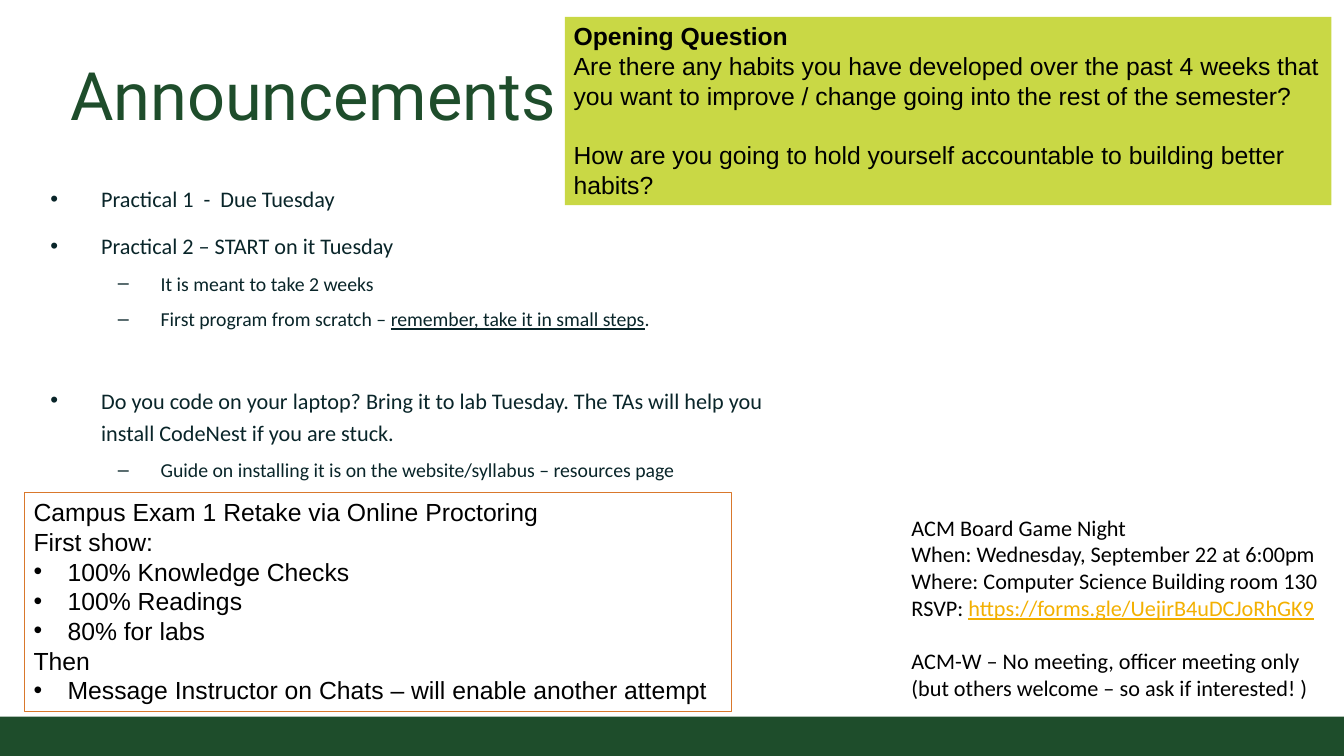
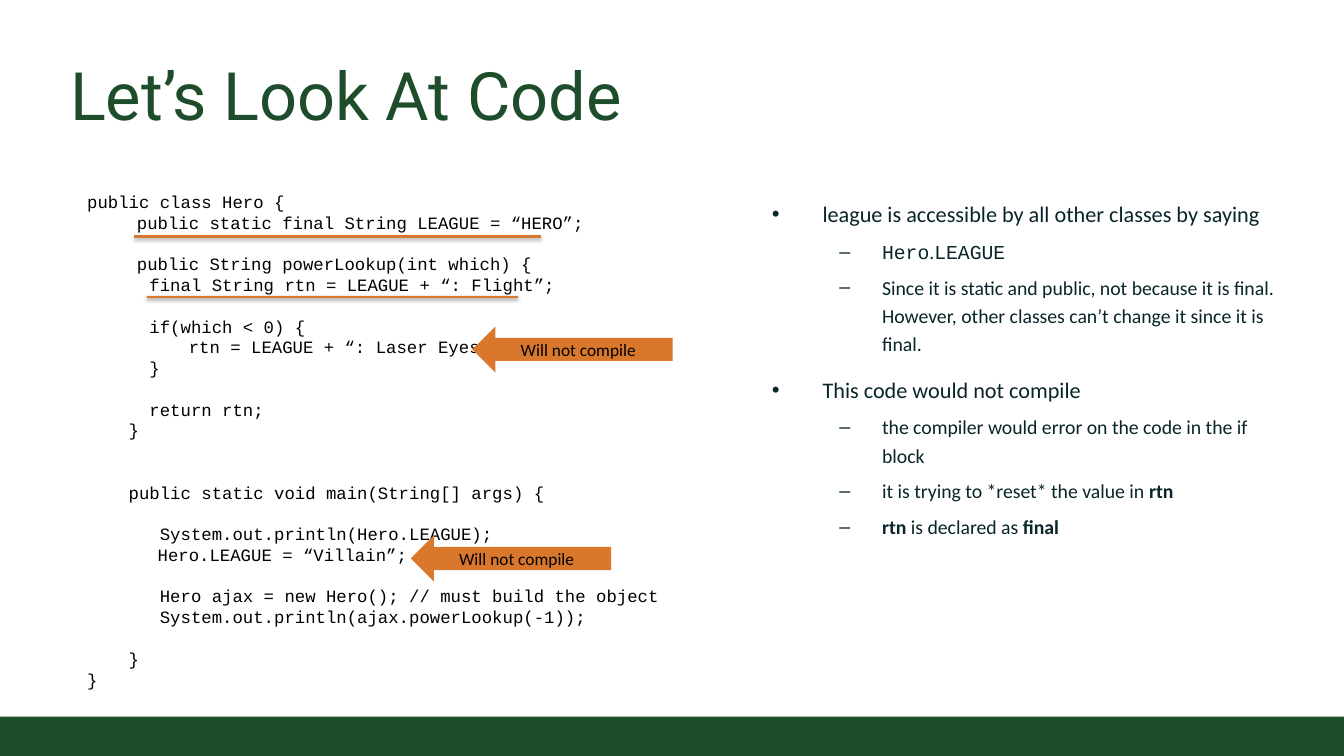
from lxml.etree import SubElement as Sub
from pptx import Presentation
from pptx.dml.color import RGBColor as Rgb
from pptx.enum.shapes import MSO_CONNECTOR as Link, MSO_SHAPE as Form
from pptx.enum.text import MSO_ANCHOR as Anchor, PP_ALIGN as Align
from pptx.oxml.ns import qn
from pptx.util import Cm, Pt

HUES = {"green": "1E4D2B", "lime": "C9D845", "orange": "D9782C",
        "gold": "F3B000", "ink": "092529", "black": "000000"}
WIDE, HIGH = 38.38, 21.59
LEAD = 1.2
HEAD = {"name": "Roboto", "size": 54, "color": "green"}
NOTE = {"name": "Arial", "size": 20, "color": "black"}
INFO = {"name": "Calibri", "size": 18, "color": "black"}
TAG = {"name": "Calibri", "size": 14, "color": "black"}
MONO = {"name": "Courier New", "size": 14, "color": "black"}
BODY = {"name": "Calibri", "color": "ink"}
BOLD = {"bold": True}
LINE = {"underline": True}
CODE = {"name": "Courier New"}
# per outline level: size, bullet, left indent, hang, space before
RANKS = [(18, "•", 1.45, 1.45, 6), (16, "–", 3.15, 1.22, 0)]


def hue(key):
    return Rgb.from_string(HUES[key])


class Deck:
    """Holds the file, the current slide and the shared style."""

    def __init__(self):
        self.file = Presentation()
        self.file.slide_width, self.file.slide_height = Cm(WIDE), Cm(HIGH)

    def start(self, title):
        self.page = self.file.slides.add_slide(self.file.slide_layouts[6])
        self.shape(Form.RECTANGLE, (0, 20.47, WIDE, 1.12), "green")
        frame = self.text((1.75, 1.24, 34.9, 2.82), pad=0.25)
        frame.vertical_anchor = Anchor.BOTTOM
        self.para(frame, [title], HEAD)

    def shape(self, form, box, fill=None, edge=None):
        item = self.page.shapes.add_shape(form, *map(Cm, box))
        item.shadow.inherit = False
        if fill:
            item.fill.solid()
            item.fill.fore_color.rgb = hue(fill)
        else:
            item.fill.background()
        if edge:
            item.line.color.rgb = hue(edge)
            item.line.width = Pt(0.75)
        else:
            item.line.fill.background()
        frame = item.text_frame
        frame.word_wrap = True
        frame.vertical_anchor = Anchor.TOP
        return frame

    def text(self, box, pad=0.13):
        frame = self.page.shapes.add_textbox(*map(Cm, box)).text_frame
        frame.word_wrap = True
        frame.margin_top = frame.margin_bottom = Cm(pad)
        return frame

    def para(self, frame, parts, look, mark=None, left=0, hang=0, tab=0, **form):
        """Adds a paragraph; each part is a string or a (string, format) pair."""
        first = frame.paragraphs[0]
        para = frame.add_paragraph() if first.runs else first
        props = para._p.get_or_add_pPr()
        if mark:
            props.set("marL", str(Cm(left)))
            props.set("indent", str(-Cm(hang)))
            Sub(props, qn("a:buFont"), typeface="Arial")
            Sub(props, qn("a:buChar"), char=mark)
        if tab:
            stops = Sub(props, qn("a:tabLst"))
            Sub(stops, qn("a:tab"), pos=str(Cm(tab)), algn="l")
        for key, val in ({"alignment": Align.LEFT} | form).items():
            setattr(para, key, val)
        for part in parts:
            words, extra = (part, {}) if isinstance(part, str) else part
            run = para.add_run()
            run.text = words
            for key, val in (look | extra).items():
                if key == "color":
                    run.font.color.rgb = hue(val)
                else:
                    setattr(run.font, key, Pt(val) if key == "size" else val)

    def lines(self, frame, rows, look, tab=0):
        """Sets rows at an even pitch; an empty row becomes space before the next."""
        pitch, gap = look["size"] * LEAD, 0
        for row in rows:
            if not row:
                gap += pitch
                continue
            parts = row if isinstance(row, list) else [row]
            form = {"tab": tab}
            if parts[0].startswith("•"):
                parts = [parts[0][1:]]
                form = {"mark": "•", "left": 0.97, "hang": 0.97}
            self.para(frame, parts, look, line_spacing=Pt(pitch),
                      space_before=Pt(gap), **form)
            gap = 0

    def outline(self, box, rows):
        """Draws bullets from (level, parts, extra space before) rows."""
        frame = self.text(box, 0.25)
        for spot, (rank, parts, more) in enumerate(rows):
            size, mark, left, hang, gap = RANKS[rank]
            self.para(frame, parts, BODY | {"size": size}, mark, left, hang,
                      level=rank, line_spacing=LEAD, space_after=Pt(6),
                      space_before=Pt(gap + more if spot else 0))

    def arrow(self, left, top, words):
        frame = self.shape(Form.LEFT_ARROW, (left, top, 5.72, 1.32), "orange")
        sides = {"margin_left": 0.76, "margin_right": 0.76,
                 "margin_top": 0.51, "margin_bottom": 0.51}
        for key, val in sides.items():
            setattr(frame, key, Cm(val))
        frame.vertical_anchor = Anchor.MIDDLE
        self.para(frame, [words], TAG, alignment=Align.CENTER)

    def rule(self, left, right, top):
        """Draws a level line with a soft shadow below it."""
        line = self.page.shapes.add_connector(
            Link.STRAIGHT, Cm(left), Cm(top), Cm(right), Cm(top))
        line.line.color.rgb = hue("orange")
        line.line.width = Pt(2)
        group = Sub(line._element.spPr, qn("a:effectLst"))
        shade = Sub(group, qn("a:outerShdw"), blurRad=str(Pt(3.1)),
                    dist=str(Pt(1.6)), dir="5400000", rotWithShape="0")
        tone = Sub(shade, qn("a:srgbClr"), val=HUES["black"])
        Sub(tone, qn("a:alpha"), val="38000")


HERO = """public class Hero {
\tpublic static final String LEAGUE = “HERO”;

\tpublic String powerLookup(int which) {
      final String rtn = LEAGUE + “: Flight”;

      if(which < 0) {
\t     rtn = LEAGUE + “: Laser Eyes”;
      }

      return rtn;
    }


    public static void main(String[] args) {

       System.out.println(Hero.LEAGUE);
\t  Hero.LEAGUE = “Villain”;

       Hero ajax = new Hero(); // must build the object
       System.out.println(ajax.powerLookup(-1));

    }
}"""


def news(deck):
    deck.start("Announcements")
    club = deck.text((25.78, 14.55, 12.6, 5.64))
    deck.lines(club, [
        "ACM Board Game Night",
        "When: Wednesday, September 22 at 6:00pm",
        "Where: Computer Science Building room 130",
        ["RSVP: ", ("https://forms.gle/UejirB4uDCJoRhGK9", LINE | {"color": "gold"})],
        "",
        "ACM-W – No meeting, officer meeting only (but others welcome – so ask if interested! )",
    ], INFO)
    ask = deck.shape(Form.RECTANGLE, (16.13, 0.48, 21.89, 5.38), "lime")
    deck.lines(ask, ["Opening Question"], NOTE | BOLD)
    deck.lines(ask, [
        "Are there any habits you have developed over the past 4 weeks that you want "
        "to improve / change going into the rest of the semester?",
        "",
        "How are you going to hold yourself accountable to building better habits?",
    ], NOTE)
    deck.outline((1.19, 4.9, 20.93, 9.12), [
        (0, ["Practical 1  -  Due Tuesday"], 0),
        (0, ["Practical 2 – START on it Tuesday"], 0),
        (1, ["It is meant to take 2 weeks"], 0),
        (1, ["First program from scratch – ",
             ("remember, take it in small steps", LINE), "."], 0),
        (0, ["Do you code on your laptop? Bring it to lab Tuesday. The TAs will "
             "help you install CodeNest if you are stuck."], 29),
        (1, ["Guide on installing it is on the website/syllabus – resources page"], 0),
    ])
    exam = deck.shape(Form.RECTANGLE, (0.71, 14.07, 20.19, 6.25), edge="orange")
    deck.lines(exam, [
        "Campus Exam 1 Retake via Online Proctoring",
        "First show:",
        "•100% Knowledge Checks",
        "•100% Readings",
        "•80% for labs",
        "Then",
        "•Message Instructor on Chats – will enable another attempt",
    ], NOTE)


def code(deck):
    deck.start("Let’s Look At Code")
    deck.outline((21.79, 5.33, 14.86, 11.25), [
        (0, ["league is accessible by all other classes by saying"], 0),
        (1, [("Hero", CODE), ".", ("LEAGUE", CODE)], 0),
        (1, ["Since it is static and public, not because it is final. However, "
             "other classes can’t change it since it is final."], 0),
        (0, ["This code would not compile"], 0),
        (1, ["the compiler would error on the code in the if block"], 0),
        (1, ["it is trying to *reset* the value in ", ("rtn", BOLD)], 0),
        (1, [("rtn", BOLD), " is declared as ", ("final", BOLD)], 0),
    ])
    deck.lines(deck.text((2.24, 5.33, 19.02, 14.63)), HERO.split("\n"), MONO, tab=1.42)
    for left, top in [(13.49, 9.32), (11.73, 15.29)]:
        deck.arrow(left, top, "Will not compile")
    for left, right, top in [(3.84, 15.44, 6.76), (4.19, 14.78, 8.48)]:
        deck.rule(left, right, top)


def main():
    deck = Deck()
    news(deck)
    code(deck)
    deck.file.save("out.pptx")


if __name__ == "__main__":
    main()
